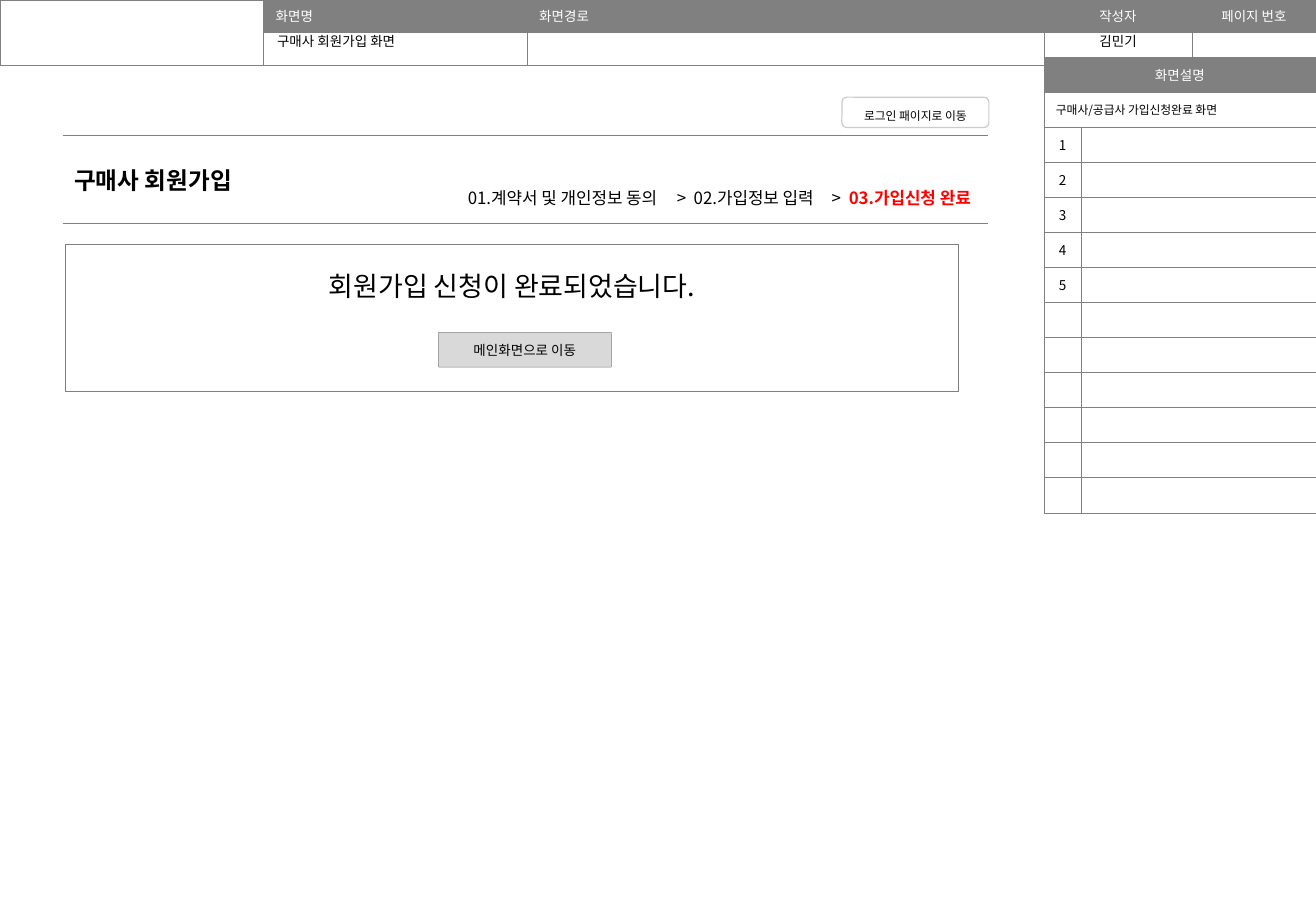
from lxml import etree
from pptx import Presentation
from pptx.dml.color import RGBColor
from pptx.enum import shapes, text
from pptx.oxml import ns
from pptx.util import Pt

FONT = "Noto Sans CJK KR"
BLACK = RGBColor(0, 0, 0)
WHITE = RGBColor(255, 255, 255)
RED = RGBColor(255, 0, 0)
GRAY = RGBColor(0x80, 0x80, 0x80)
LIGHT_GRAY = RGBColor(0xD9, 0xD9, 0xD9)
OUTLINE = RGBColor(0xCC, 0xCC, 0xCC)
LEFT, CENTER = text.PP_ALIGN.LEFT, text.PP_ALIGN.CENTER
TOP, MIDDLE = text.MSO_ANCHOR.TOP, text.MSO_ANCHOR.MIDDLE

HEADINGS = [("", LEFT), ("화면명", LEFT), ("화면경로", LEFT),
            ("작성자", CENTER), ("페이지 번호", CENTER)]
HEADING_WIDTHS = [156.2, 156.2, 306.3, 88, 73.3]
SCREEN_NAME = "구매사 회원가입 화면"
AUTHOR = "김민기"
PANEL_TITLE = "화면설명"
PANEL_SUMMARY = "구매사/공급사 가입신청완료 화면"
NUMBERED_NOTES, PANEL_ROWS = 5, 13
PAGE_TITLE = "구매사 회원가입"
STEPS = "01.계약서 및 개인정보 동의\t>\t02.가입정보 입력\t>\t"
CURRENT_STEP = "03.가입신청 완료"
STEP_TABS = [123.9, 133.9, 215.7, 225.8]
DONE_MESSAGE = "회원가입 신청이 완료되었습니다."
LOGIN_BUTTON = "로그인 패이지로 이동"
MAIN_BUTTON = "메인화면으로 이동"


def write(frame, words, size=8, color=BLACK, bold=False, align=LEFT, spacing=None):
    """Append a run to the first paragraph of frame and format it."""
    paragraph = frame.paragraphs[0]
    paragraph.alignment = align
    if spacing:
        paragraph.line_spacing = spacing
    if not words:
        etree.SubElement(paragraph._p, ns.qn("a:endParaRPr"), sz=str(size * 100))
        return
    run = paragraph.add_run()
    run.text = words
    run.font.size, run.font.bold, run.font.name = Pt(size), bold, FONT
    run.font.color.rgb = color
    etree.SubElement(run._r.get_or_add_rPr(), ns.qn("a:ea"), typeface=FONT)


def set_frame(frame, anchor=TOP, left=7.2, top=3.6, right=7.2, bottom=3.6):
    frame.word_wrap = True
    frame.auto_size = text.MSO_AUTO_SIZE.NONE
    frame.vertical_anchor = anchor
    frame.margin_left, frame.margin_top = Pt(left), Pt(top)
    frame.margin_right, frame.margin_bottom = Pt(right), Pt(bottom)


def set_cell(cell, words="", fill=None, anchor=MIDDLE, side=(GRAY, 0.25), **style):
    """Fill, border and write one cell; side is the left and right border."""
    tc_pr = cell._tc.get_or_add_tcPr()
    edge = (GRAY, 0.25)
    for i, (tag, (color, width)) in enumerate(
            [("lnL", side), ("lnR", side), ("lnT", edge), ("lnB", edge)]):
        line = etree.Element(ns.qn("a:" + tag), w=str(Pt(width)))
        solid = etree.SubElement(line, ns.qn("a:solidFill"))
        etree.SubElement(solid, ns.qn("a:srgbClr"), val=str(color))
        tc_pr.insert(i, line)
    if fill is None:
        cell.fill.background()
    else:
        cell.fill.solid()
        cell.fill.fore_color.rgb = fill
    cell.vertical_anchor = anchor
    write(cell.text_frame, words, **style)


def add_grid(slide, left, top, widths, heights):
    table = slide.shapes.add_table(len(heights), len(widths), Pt(left), Pt(top),
                                   Pt(sum(widths)), Pt(sum(heights))).table
    table.first_row = table.horz_banding = False
    for column, width in zip(table.columns, widths):
        column.width = Pt(width)
    for row, height in zip(table.rows, heights):
        row.height = Pt(height)
    return table


def add_button(slide, words, box, corner, fill, line, line_width, **style):
    button = slide.shapes.add_shape(shapes.MSO_SHAPE.ROUNDED_RECTANGLE, *map(Pt, box))
    button.adjustments[0] = corner
    button.shadow.inherit = False
    button.fill.solid()
    button.fill.fore_color.rgb = fill
    button.line.color.rgb = line
    button.line.width = Pt(line_width)
    set_frame(button.text_frame, MIDDLE, top=7.2, bottom=7.2)
    write(button.text_frame, words, align=CENTER, **style)


def add_header(slide):
    header = add_grid(slide, 0, 0, HEADING_WIDTHS, [19.3, 19.3])
    for column, (heading, align) in enumerate(HEADINGS):
        set_cell(header.cell(0, column), heading, GRAY if heading else None,
                 anchor=TOP, color=WHITE, align=align)
        set_cell(header.cell(1, column))
    header.cell(0, 0).merge(header.cell(1, 0))
    author = slide.shapes.add_textbox(Pt(618.5), Pt(15.8), Pt(88.6), Pt(17.3))
    set_frame(author.text_frame)
    write(author.text_frame, AUTHOR, align=CENTER)


def add_panel(slide):
    panel = add_grid(slide, 618.7, 33.8, [22.2, 139.1], [20.8] * PANEL_ROWS)
    set_cell(panel.cell(0, 0), PANEL_TITLE, GRAY, color=WHITE, align=CENTER)
    set_cell(panel.cell(1, 0), PANEL_SUMMARY, WHITE, size=7)
    for row in range(2):
        set_cell(panel.cell(row, 1))
        panel.cell(row, 0).merge(panel.cell(row, 1))
    for number in range(1, PANEL_ROWS - 1):
        label = str(number) if number <= NUMBERED_NOTES else ""
        set_cell(panel.cell(number + 1, 0), label, WHITE, align=CENTER)
        set_cell(panel.cell(number + 1, 1), "", WHITE)


def add_steps(slide):
    steps = slide.shapes.add_textbox(Pt(249.1), Pt(106.6), Pt(336.3), Pt(21.6))
    set_frame(steps.text_frame, MIDDLE, left=28.2, right=0)
    tabs = etree.SubElement(steps.text_frame.paragraphs[0]._p.get_or_add_pPr(),
                            ns.qn("a:tabLst"))
    for stop in STEP_TABS:
        etree.SubElement(tabs, ns.qn("a:tab"), pos=str(Pt(stop)), algn="l")
    write(steps.text_frame, STEPS, size=10)
    write(steps.text_frame, CURRENT_STEP, size=10, color=RED, bold=True)


def main():
    deck = Presentation()
    deck.slide_width, deck.slide_height = Pt(780), Pt(540)
    slide = deck.slides.add_slide(deck.slide_layouts[5])

    screen_name = slide.shapes.title
    screen_name.left, screen_name.top = Pt(157), Pt(15.8)
    screen_name.width, screen_name.height = Pt(154.8), Pt(17.3)
    set_frame(screen_name.text_frame)
    write(screen_name.text_frame, SCREEN_NAME)

    add_header(slide)
    add_panel(slide)

    page_title = add_grid(slide, 36.7, 80.4, [549.4], [52.2])
    set_cell(page_title.cell(0, 0), PAGE_TITLE, side=(WHITE, 1), size=14, bold=True)
    add_button(slide, LOGIN_BUTTON, (499, 57.6, 87.1, 18), 0.17,
               WHITE, OUTLINE, 0.75, size=7, spacing=1.5)
    add_steps(slide)

    done = add_grid(slide, 38.9, 144.7, [529.2], [87.1]).cell(0, 0)
    set_cell(done, DONE_MESSAGE, WHITE, anchor=TOP, size=16, align=CENTER)
    done.margin_top = Pt(12.7)
    add_button(slide, MAIN_BUTTON, (259.9, 197, 102.5, 20.6), 0.02,
               LIGHT_GRAY, GRAY, 0.25)
    deck.save("out.pptx")


if __name__ == "__main__":
    main()
